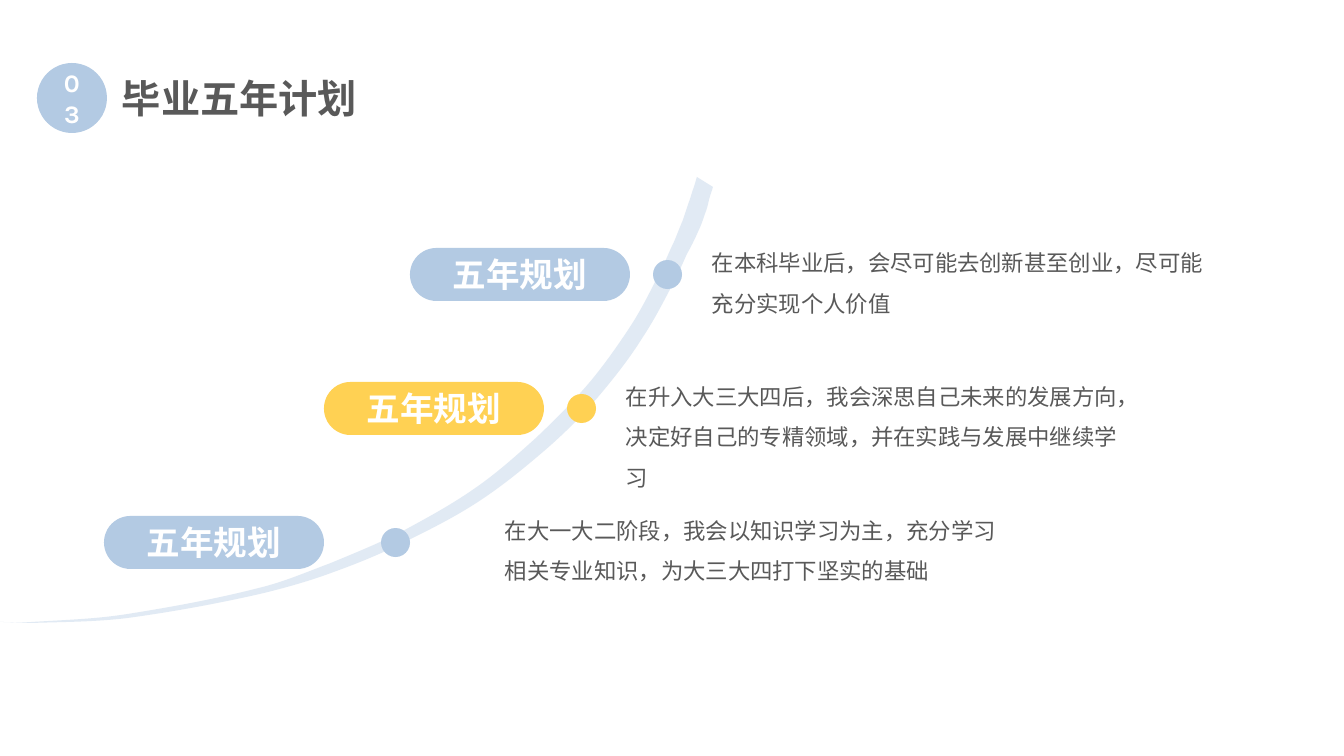
from math import dist
from lxml import etree
from pptx import Presentation
from pptx.dml.color import RGBColor
from pptx.enum.shapes import MSO_SHAPE
from pptx.enum.text import MSO_ANCHOR, MSO_AUTO_SIZE, PP_ALIGN
from pptx.oxml.ns import qn
from pptx.util import Pt

PX = 914400 / 100.8
FONT = "Karla"
BLUE = RGBColor(0xB3, 0xCA, 0xE3)
YELLOW = RGBColor(0xFF, 0xD1, 0x53)
GRAY = RGBColor(0x59, 0x59, 0x59)
WHITE = RGBColor(0xFF, 0xFF, 0xFF)
OVAL = MSO_SHAPE.OVAL
PILL = MSO_SHAPE.ROUNDED_RECTANGLE
MIDDLE = MSO_ANCHOR.MIDDLE
CENTER = PP_ALIGN.CENTER
GROW = MSO_AUTO_SIZE.SHAPE_TO_FIT_TEXT

prs = Presentation()
prs.slide_width, prs.slide_height = round(1344 * PX), round(756 * PX)
slide = prs.slides.add_slide(prs.slide_layouts[6])
shapes = slide.shapes


def add_solid(kind, color, *box):
    solid = shapes.add_shape(kind, *[round(v * PX) for v in box])
    solid.shadow.inherit = False
    solid.fill.solid()
    solid.fill.fore_color.rgb = color
    solid.line.fill.background()
    return solid


def write(shape, text, size, color, bold=False):
    paragraph = shape.text_frame.paragraphs[0]
    paragraph.text = text
    font = paragraph.runs[0].font
    font.name, font.size, font.bold = FONT, Pt(size), bold
    font.color.rgb = color
    east_asian = etree.SubElement(paragraph.runs[0]._r.get_or_add_rPr(), qn("a:ea"))
    east_asian.set("typeface", FONT)
    return paragraph


# Rising curve: knots of the upper and lower edge
upper_edge = [(-3, 622), (33, 622), (128, 614), (259, 588), (331, 563), (403, 531),
              (474, 489), (536, 438), (590, 382), (632, 324), (663, 266), (674, 242),
              (683, 220), (689, 202), (694, 187), (697, 177)]
lower_edge = [(713, 187), (709, 200), (705, 214), (698, 232), (687, 254), (675, 280),
              (643, 337), (599, 396), (543, 452), (478, 502), (407, 541), (334, 572),
              (260, 594), (128, 618), (32, 623), (-3, 622)]
outline = upper_edge + lower_edge
builder = shapes.build_freeform(*outline[0], scale=PX)
builder.add_line_segments(outline[1:], close=True)
curve = builder.convert_to_shape()
curve.shadow.inherit = False
curve.fill.solid()
curve.fill.fore_color.rgb = BLUE
curve.line.fill.background()
tint = curve.fill._xPr.find(".//" + qn("a:srgbClr"))
etree.SubElement(tint, qn("a:alpha")).set("val", "39000")

# Bend each edge: every straight segment becomes a Bezier along the knots
segments = list(curve._element.iter(qn("a:lnTo")))
left, top_y = min(x for x, y in outline), min(y for x, y in outline)
unit = int(next(curve._element.iter(qn("a:path"))).get("w")) / (713 - left)
first = 0
for edge in (upper_edge, lower_edge):
    padded = [edge[0], *edge, edge[-1]]
    for i, (a, b, c, d) in enumerate(zip(padded, padded[1:], padded[2:], padded[3:])):
        reach = dist(b, c) / 3
        leave = [q + (r - p) * reach / dist(a, c) for p, q, r in zip(a, b, c)]
        arrive = [r - (s - q) * reach / dist(b, d) for q, r, s in zip(b, c, d)]
        segment = segments[first + i]
        segment.tag = qn("a:cubicBezTo")
        for spot, (x, y) in enumerate((leave, arrive)):
            handle = etree.Element(qn("a:pt"))
            handle.set("x", str(round((x - left) * unit)))
            handle.set("y", str(round((y - top_y) * unit)))
            segment.insert(spot, handle)
    first += len(edge)

# Stages: dot on the curve, description, label
stages = [
    (653, 702, 410, 57, BLUE, "在本科毕业后，会尽可能去创新甚至创业，尽可能充分实现个人价值"),
    (567, 616, 324, 132, YELLOW,
     "在升入大三大四后，我会深思自己未来的发展方向，决定好自己的专精领域，并在实践与发展中继续学习"),
    (381, 495, 104, 92, BLUE, "在大一大二阶段，我会以知识学习为主，充分学习相关专业知识，为大三大四打下坚实的基础"),
]
for row, (dot_x, detail_x, label_x, detail_h, color, detail) in enumerate(stages):
    top = 248 + row * 134
    add_solid(OVAL, color, dot_x, top + 12, 29, 29)

    description = shapes.add_textbox(
        *[round(v * PX) for v in (detail_x, top - 17, 516, detail_h)])
    description.text_frame.word_wrap = True
    description.text_frame.auto_size = GROW
    write(description, detail, 16, GRAY).line_spacing = 1.5

    label = add_solid(PILL, color, label_x, top, 220, 53)
    label.adjustments[0] = 0.5
    label.text_frame.vertical_anchor = MIDDLE
    write(label, "五年规划", 24, WHITE, True).alignment = CENTER

# Section number and title
number = add_solid(OVAL, BLUE, 37, 63, 70, 70)
number.text_frame.vertical_anchor = MIDDLE
write(number, "03", 18, WHITE, True).alignment = CENTER

title = shapes.add_textbox(*[round(v * PX) for v in (112, 69, 258, 57)])
title.text_frame.word_wrap = False
title.text_frame.auto_size = GROW
write(title, "毕业五年计划", 28, GRAY, True)

prs.save("out.pptx")
